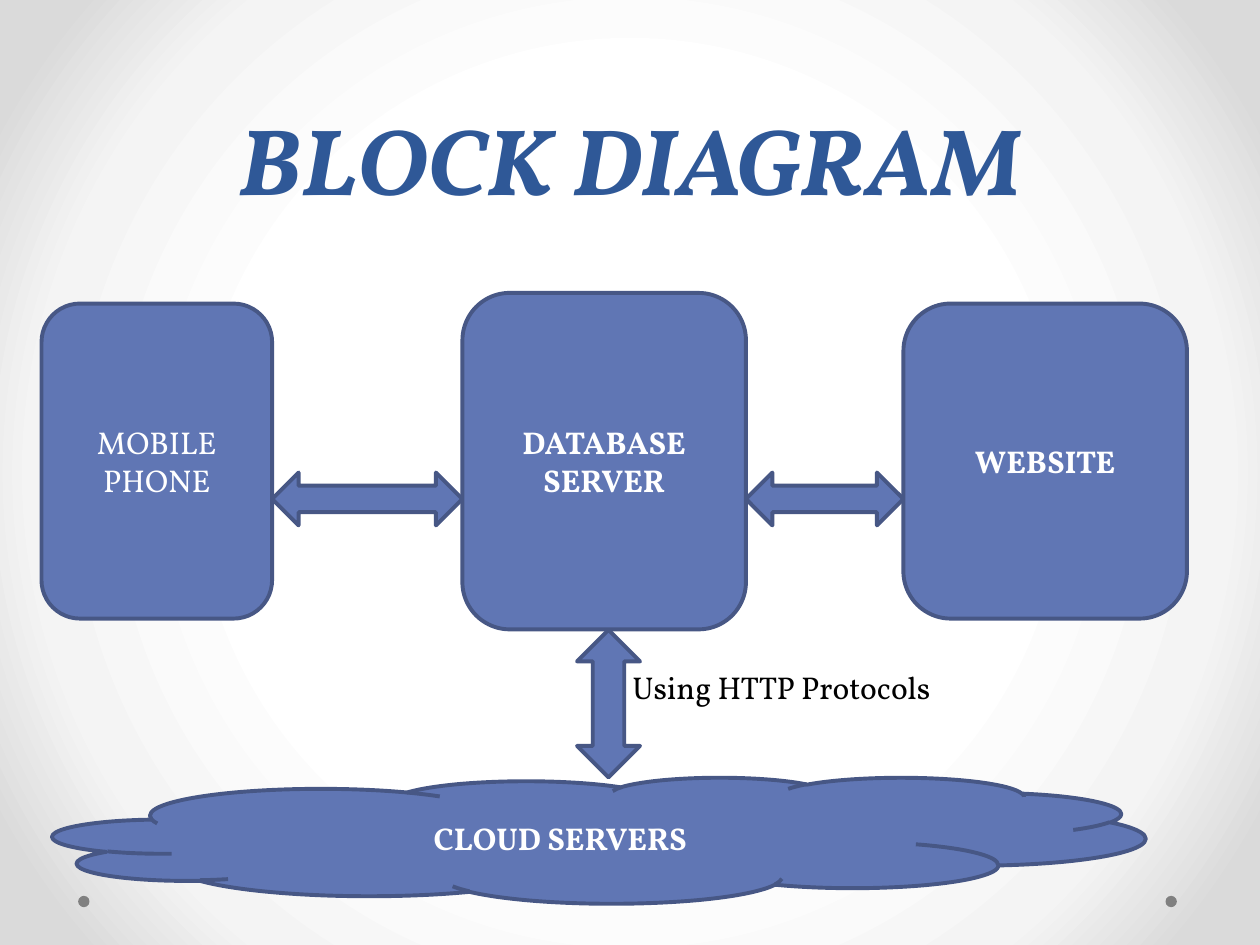
import dataclasses

import lxml.etree
import pptx
import pptx.dml.color
import pptx.enum.shapes
import pptx.enum.text
import pptx.oxml
import pptx.oxml.ns
import pptx.util

Inches = pptx.util.Inches
Pt = pptx.util.Pt
Color = pptx.dml.color.RGBColor.from_string
Shapes = pptx.enum.shapes.MSO_SHAPE
Anchor = pptx.enum.text.MSO_ANCHOR
Align = pptx.enum.text.PP_ALIGN
qn = pptx.oxml.ns.qn


@dataclasses.dataclass(frozen=True)
class Theme:
    """Colours, font and sizes of the slide."""
    font: str = "Vollkorn"
    title: str = "2F5897"
    block: str = "6076B4"
    outline: str = "475785"
    dot: str = "808080"
    light: str = "FFFFFF"
    dark: str = "000000"
    title_size: int = 54
    title_spacing: int = 58
    text_size: int = 18
    outline_width: float = 2.25
    background: tuple = ((50, "FFFFFF"), (76, "F4F4F4"), (92, "DADADA"))


THEME = Theme()


def format_text(text_frame, color, size=THEME.text_size, bold=False, italic=False):
    """Apply the theme font to every run."""
    for paragraph in text_frame.paragraphs:
        for run in paragraph.runs:
            run.font.name = THEME.font
            run.font.size = Pt(size)
            run.font.bold = bold
            run.font.italic = italic
            run.font.color.rgb = Color(color)


def paint_background(slide):
    """Fill the background with a circular gradient from the centre."""
    slide.background.fill.gradient()
    gradient = slide.element.find(".//" + qn("a:gradFill"))
    for child in list(gradient):
        gradient.remove(child)
    stops = lxml.etree.SubElement(gradient, qn("a:gsLst"))
    for position, color in THEME.background:
        stop = lxml.etree.SubElement(stops, qn("a:gs"), pos=str(position * 1000))
        lxml.etree.SubElement(stop, qn("a:srgbClr"), val=color)
    circle = lxml.etree.SubElement(gradient, qn("a:path"), {"path": "circle"})
    lxml.etree.SubElement(circle, qn("a:fillToRect"),
                          {side: "50000" for side in "ltrb"})


def add_filled_shape(slide, kind, box, fill, outline=None):
    """Add a flat preset shape in a box of inches."""
    shape = slide.shapes.add_shape(kind, *map(Inches, box))
    shape.shadow.inherit = False
    shape.fill.solid()
    shape.fill.fore_color.rgb = Color(fill)
    if outline:
        shape.line.color.rgb = Color(outline)
        shape.line.width = Pt(THEME.outline_width)
    else:
        shape.line.fill.background()
    return shape


def add_block(slide, kind, box, text="", bold=True):
    """Add a diagram block with an optional centred label."""
    shape = add_filled_shape(slide, kind, box, THEME.block, THEME.outline)
    if text:
        shape.text_frame.text = text
        shape.text_frame.word_wrap = True
        shape.text_frame.vertical_anchor = Anchor.MIDDLE
        shape.text_frame.paragraphs[0].alignment = Align.CENTER
        format_text(shape.text_frame, THEME.light, bold=bold)


def add_title(slide, box, text):
    """Place the title, standing on the bottom of its box."""
    title = slide.shapes.title
    title.left, title.top, title.width, title.height = map(Inches, box)
    title.text_frame.text = text
    title.text_frame.word_wrap = True
    title.text_frame.vertical_anchor = Anchor.BOTTOM
    paragraph = title.text_frame.paragraphs[0]
    paragraph.alignment = Align.CENTER
    paragraph.line_spacing = Pt(THEME.title_spacing)
    format_text(title.text_frame, THEME.title, THEME.title_size, True, True)


def add_caption(slide, box, text):
    """Add a one-line caption."""
    caption = slide.shapes.add_textbox(*map(Inches, box))
    caption.text_frame.text = text
    caption.text_frame.word_wrap = False
    caption.text_frame.auto_size = pptx.enum.text.MSO_AUTO_SIZE.SHAPE_TO_FIT_TEXT
    format_text(caption.text_frame, THEME.dark)


def add_diagram(slide, box):
    """Draw three nodes above a cloud, joined by double arrows."""
    left, top, width, height = box
    middle = top + 1.33
    nodes = (
        (0, 1.83, 2.5, "MOBILE PHONE", False),
        (3.34, 2.25, 2.67, "DATABASE SERVER", True),
        (6.84, 2.25, 2.5, "WEBSITE", True),
    )
    for offset, node_width, node_height, text, bold in nodes:
        node_box = (left + offset, middle - node_height / 2, node_width, node_height)
        add_block(slide, Shapes.ROUNDED_RECTANGLE, node_box, text, bold)

    cloud_top = top + height - 1
    add_block(slide, Shapes.CLOUD, (left + 0.09, cloud_top, 8.67, 1), "CLOUD SERVERS")
    add_caption(slide, (left + 4.59, top + 2.92, 2.7, 0.4), "Using HTTP Protocols")

    for start, end in zip(nodes, nodes[1:]):
        start_right = start[0] + start[1]
        arrow_box = (left + start_right, top + 1.42, end[0] - start_right, 0.42)
        add_block(slide, Shapes.LEFT_RIGHT_ARROW, arrow_box)
    server_bottom = top + 2.67
    add_block(slide, Shapes.UP_DOWN_ARROW,
              (left + 4.25, server_bottom, 0.5, cloud_top - server_bottom))


def main():
    """Build and save the slide."""
    presentation = pptx.Presentation()
    presentation.slide_width = Inches(10)
    presentation.slide_height = Inches(7.5)
    slide = presentation.slides.add_slide(presentation.slide_layouts[5])
    paint_background(slide)
    for dot_left in (9.25, 0.62):
        add_filled_shape(slide, Shapes.OVAL, (dot_left, 7.11, 0.09, 0.09), THEME.dot)
    add_title(slide, (0.5, 0, 9, 1.75), "BLOCK DIAGRAM")
    add_diagram(slide, (0.33, 2.33, 9.09, 4.84))
    presentation.save("out.pptx")


main()
